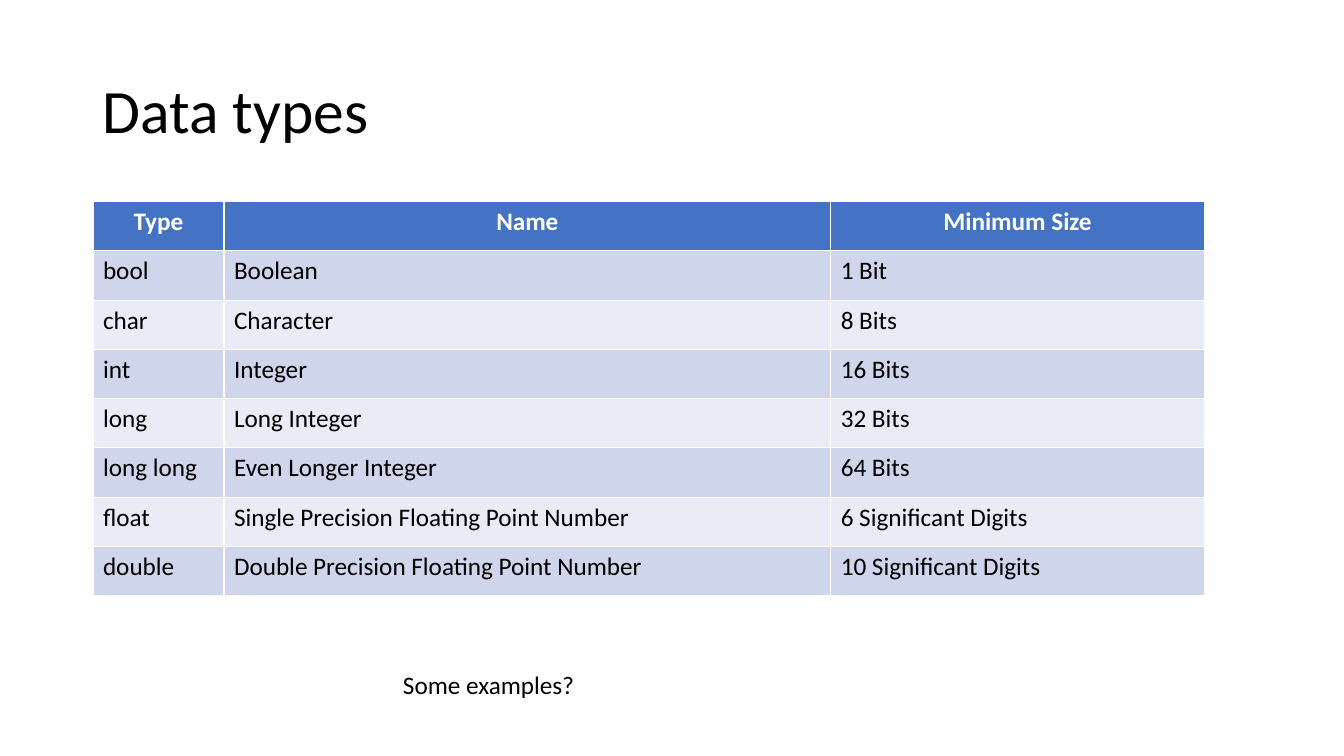
from pptx import Presentation
from pptx.dml.color import RGBColor as RGB
from pptx.enum.text import MSO_ANCHOR as ANCHOR, MSO_AUTO_SIZE as FIT, PP_ALIGN as ALIGN
from pptx.util import Pt

TITLE = "Data types"
QUESTION = "Some examples?"
HEADER = ("Type", "Name", "Minimum Size")
TYPES = [
    ("bool", "Boolean", "1 Bit"),
    ("char", "Character", "8 Bits"),
    ("int", "Integer", "16 Bits"),
    ("long", "Long Integer", "32 Bits"),
    ("long long", "Even Longer Integer", "64 Bits"),
    ("float", "Single Precision Floating Point Number", "6 Significant Digits"),
    ("double", "Double Precision Floating Point Number", "10 Significant Digits"),
]

COLORS = {"text": "000000", "header_text": "FFFFFF", "header": "4472C4",
          "odd": "CFD5EA", "even": "E9EBF5"}
TITLE_BOX = (66, 28.8, 828, 104.4)
QUESTION_BOX = (280.8, 474.5, 232.6, 29.1)
TABLE_LEFT, TABLE_TOP = 66.4, 144
COLUMN_WIDTHS = (93.6, 433.4, 267)
ROW_HEIGHT = 35.2


def write(tf, text, color="text", align=ALIGN.LEFT, **font):
    """Put one formatted paragraph into a text frame and return it."""
    p = tf.paragraphs[0]
    p.alignment = align
    r = p.add_run()
    r.text = text
    r.font.color.rgb = RGB.from_string(COLORS[color])
    for name, value in {"name": "Calibri", "size": Pt(18), "bold": False, **font}.items():
        setattr(r.font, name, value)
    return p


def add_title(s):
    """Place and format the title placeholder."""
    title = s.shapes.title
    for name, value in zip(("left", "top", "width", "height"), TITLE_BOX):
        setattr(title, name, Pt(value))
    tf = title.text_frame
    tf.vertical_anchor = ANCHOR.MIDDLE
    write(tf, TITLE, size=Pt(44)).line_spacing = 0.9


def add_type_table(s):
    """Add the table of types with a header and alternating row fills."""
    rows = [HEADER, *TYPES]
    box = (TABLE_LEFT, TABLE_TOP, sum(COLUMN_WIDTHS), ROW_HEIGHT * len(rows))
    table = s.shapes.add_table(len(rows), len(HEADER), *map(Pt, box)).table
    for column, width in zip(table.columns, COLUMN_WIDTHS):
        column.width = Pt(width)
    for i, row in enumerate(rows):
        table.rows[i].height = Pt(ROW_HEIGHT)
        fill = "odd" if i % 2 else "even"
        style = {}
        if i == 0:
            fill = "header"
            style = {"color": "header_text", "align": ALIGN.CENTER, "bold": True}
        for cell, text in zip(table.rows[i].cells, row):
            cell.fill.solid()
            cell.fill.fore_color.rgb = RGB.from_string(COLORS[fill])
            write(cell.text_frame, text, **style)


def add_question(s):
    """Add the closing question below the table."""
    tf = s.shapes.add_textbox(*map(Pt, QUESTION_BOX)).text_frame
    tf.word_wrap = True
    tf.auto_size = FIT.SHAPE_TO_FIT_TEXT
    write(tf, QUESTION)


prs = Presentation()
prs.slide_width, prs.slide_height = Pt(960), Pt(540)
s = prs.slides.add_slide(prs.slide_layouts[5])
add_title(s)
add_type_table(s)
add_question(s)
prs.save("out.pptx")
